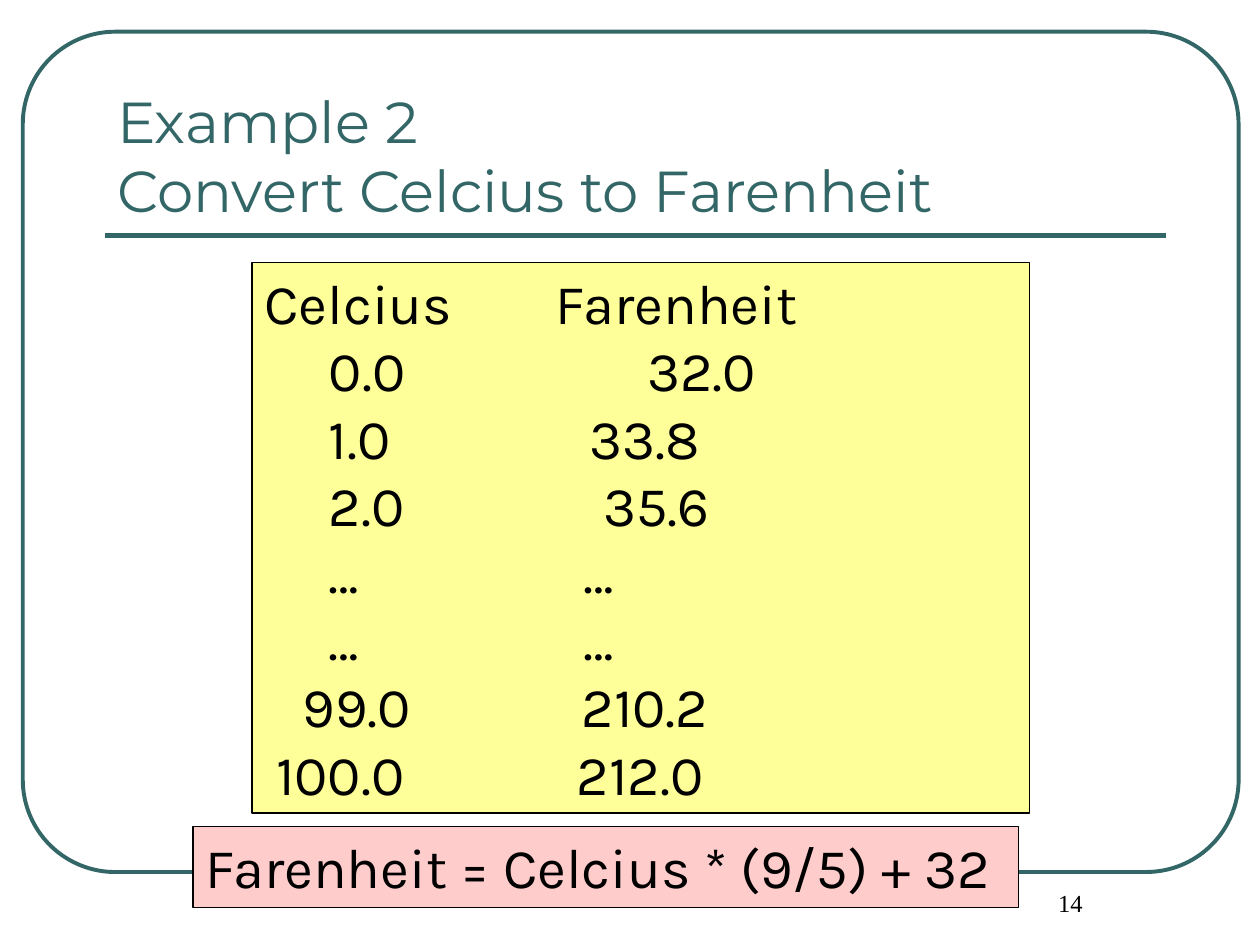
from typing import NamedTuple

from lxml import etree
from pptx import Presentation
from pptx.dml.color import RGBColor
from pptx.enum.shapes import MSO_CONNECTOR, MSO_SHAPE
from pptx.enum.text import MSO_ANCHOR, PP_ALIGN
from pptx.oxml.ns import qn
from pptx.util import Cm, Pt

LEFT, CENTER = PP_ALIGN.LEFT, PP_ALIGN.CENTER
TOP, BOTTOM = MSO_ANCHOR.TOP, MSO_ANCHOR.BOTTOM
RECTANGLE, ROUNDED = MSO_SHAPE.RECTANGLE, MSO_SHAPE.ROUNDED_RECTANGLE
STRAIGHT = MSO_CONNECTOR.STRAIGHT

TEAL = RGBColor(0x33, 0x66, 0x66)
BLACK = RGBColor(0, 0, 0)
YELLOW = RGBColor(0xFF, 0xFF, 0x99)
PINK = RGBColor(0xFF, 0xCC, 0xCC)


class Box(NamedTuple):
    """Left, top, width and height in centimetres."""
    left: float
    top: float
    width: float
    height: float

    def lengths(self) -> list:
        return [Cm(value) for value in self]


class TextStyle(NamedTuple):
    font: str
    size: float
    color: RGBColor


class Row(NamedTuple):
    """A line of text and its tab stops in centimetres."""
    text: str
    stops: tuple = ()


TITLE_STYLE = TextStyle("Montserrat", 33, TEAL)
BODY_STYLE = TextStyle("Karla", 32, BLACK)
NUMBER_STYLE = TextStyle("Times New Roman", 14, BLACK)

CONVERSIONS = [
    Row("Celcius\tFarenheit", (5.87,)),
    Row("\t0.0\t32.0", (1.3, 7.72)),
    Row("\t1.0\t33.8", (1.3, 6.55)),
    Row("\t2.0\t35.6", (1.3, 6.83)),
    Row("\t…\t…", (1.3, 6.43)),
    Row("\t…\t…", (1.3, 6.43)),
    Row("\t99.0\t210.2", (0.77, 6.4)),
    Row("\t100.0\t212.0", (0.24, 6.3)),
]


def add_tab_stops(paragraph, stops: tuple) -> None:
    tab_list = etree.SubElement(paragraph._p.get_or_add_pPr(), qn("a:tabLst"))
    for stop in stops:
        etree.SubElement(tab_list, qn("a:tab"), pos=str(int(Cm(stop))), algn="l")


def write_rows(shape, rows: list[Row], style: TextStyle, anchor=TOP,
               alignment=LEFT, wrap: bool = True) -> None:
    text_frame = shape.text_frame
    text_frame.word_wrap = wrap
    text_frame.vertical_anchor = anchor
    text_frame.text = "\n".join(row.text for row in rows)
    for paragraph, row in zip(text_frame.paragraphs, rows):
        paragraph.alignment = alignment
        if row.stops:
            add_tab_stops(paragraph, row.stops)
        for run in paragraph.runs:
            run.font.name = style.font
            run.font.size = Pt(style.size)
            run.font.color.rgb = style.color


def add_panel(slide, box: Box, fill: RGBColor):
    panel = slide.shapes.add_shape(RECTANGLE, *box.lengths())
    panel.shadow.inherit = False
    panel.fill.solid()
    panel.fill.fore_color.rgb = fill
    panel.line.color.rgb = BLACK
    panel.line.width = Pt(0.75)
    return panel


def add_frame(slide) -> None:
    """Draw the rounded border and the rule below the title."""
    border = slide.shapes.add_shape(ROUNDED, *Box(0.46, 0.64, 24.51, 16.94).lengths())
    border.adjustments[0] = 0.11
    border.shadow.inherit = False
    border.fill.background()
    border.line.color.rgb = TEAL
    border.line.width = Pt(2.25)

    rule = slide.shapes.add_connector(STRAIGHT, Cm(2.11), Cm(4.75), Cm(23.5), Cm(4.75))
    rule.line.color.rgb = TEAL
    rule.line.width = Pt(3)
    etree.SubElement(rule._element.spPr, qn("a:effectLst"))


def main() -> None:
    presentation = Presentation()
    presentation.slide_width = Cm(25.4)
    presentation.slide_height = Cm(19.05)
    slide = presentation.slides.add_slide(presentation.slide_layouts[6])

    add_frame(slide)

    title = slide.shapes.add_textbox(*Box(2.11, 1.47, 21.39, 3.18).lengths())
    write_rows(title, [Row("Example 2\vConvert Celcius to Farenheit")],
               TITLE_STYLE, anchor=BOTTOM)

    table_panel = add_panel(slide, Box(5.08, 5.29, 15.67, 11.1), YELLOW)
    write_rows(table_panel, CONVERSIONS, BODY_STYLE)

    formula_panel = add_panel(slide, Box(3.89, 16.66, 16.64, 1.63), PINK)
    write_rows(formula_panel, [Row("Farenheit = Celcius * (9/5) + 32")],
               BODY_STYLE, wrap=False)

    number = slide.shapes.add_textbox(*Box(19.05, 17.78, 4.45, 1.27).lengths())
    write_rows(number, [Row("14")], NUMBER_STYLE, alignment=CENTER)
    number.text_frame.paragraphs[0]._p.get_or_add_pPr().set("marL", str(int(Cm(0.61))))

    presentation.save("out.pptx")


if __name__ == "__main__":
    main()
